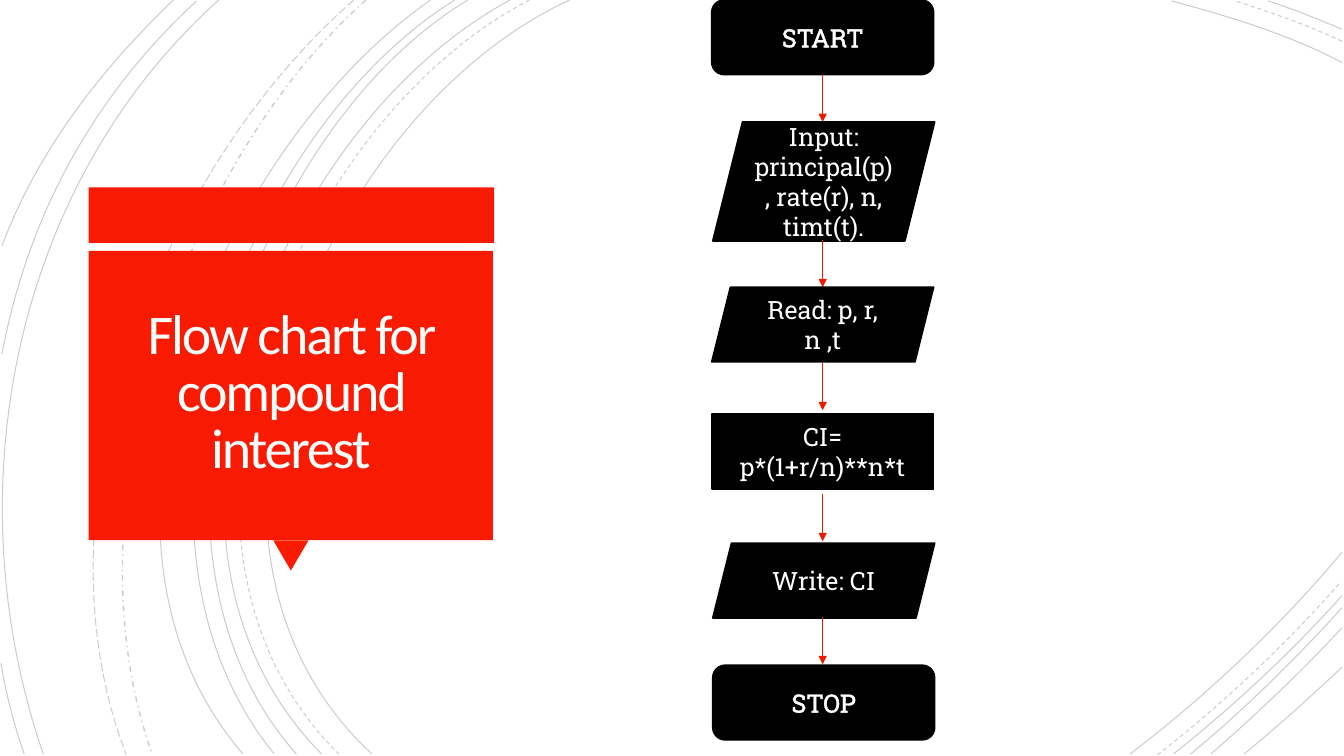
from dataclasses import dataclass
from typing import NamedTuple, Optional

from lxml import etree
from pptx import Presentation
from pptx import util as u
from pptx.dml.color import RGBColor
from pptx.enum import dml, shapes, text
from pptx.oxml import ns

PX = 9144
SHAPE = shapes.MSO_SHAPE
DASH = dml.MSO_LINE


@dataclass(frozen=True)
class Theme:
    accent: str = "F81B02"
    arrow: str = "ED1A02"
    ink: str = "000000"
    title_text: str = "FFFEFF"
    step_text: str = "FFFFFF"
    title_font: str = "Calibri"
    step_font: str = "Roboto Slab"
    title_size: int = 40
    step_size: int = 18
    hairline: float = 0.75
    border: float = 1.25
    arc_alpha: int = 20000


class Arc(NamedTuple):
    start: tuple[int, int]
    control_1: tuple[int, int]
    control_2: tuple[int, int]
    end: tuple[int, int]
    dash: dml.MSO_LINE = DASH.SOLID
    width: float = 0.75


class Panel(NamedTuple):
    preset: shapes.MSO_SHAPE
    left: int
    top: int
    width: int
    height: int
    rotation: int = 0


class Step(NamedTuple):
    label: str
    preset: shapes.MSO_SHAPE
    left: int
    top: int
    height: int = 74
    arrow_top: Optional[int] = None
    outlined: bool = False


THEME = Theme()
STEP_WIDTH = 220
ARROW_X = 816
ARROW_LENGTH = 47

ARCS = [
    Arc((565, 0), (315, 115), (143, 540), (369, 748)),
    Arc((1331, 62), (1278, 34), (1218, 16), (1162, 1)),
    Arc((1121, 748), (1197, 690), (1269, 622), (1331, 548)),
    Arc((525, 0), (285, 125), (123, 537), (336, 748), DASH.DASH),
    Arc((1331, 41), (1297, 25), (1260, 12), (1225, 1), DASH.DASH),
    Arc((1148, 749), (1213, 698), (1275, 640), (1330, 577), DASH.DASH),
    Arc((506, 0), (270, 127), (110, 537), (319, 748)),
    Arc((1331, 29), (1307, 19), (1283, 9), (1258, 1)),
    Arc((1164, 748), (1223, 701), (1280, 648), (1331, 591)),
    Arc((464, 0), (244, 133), (110, 541), (294, 748)),
    Arc((1181, 748), (1234, 704), (1284, 655), (1331, 603)),
    Arc((451, 0), (231, 138), (97, 533), (272, 748)),
    Arc((1201, 748), (1246, 709), (1290, 667), (1331, 623)),
    Arc((427, 0), (217, 147), (53, 529), (241, 748)),
    Arc((1234, 748), (1267, 721), (1299, 692), (1331, 662)),
    Arc((363, 0), (176, 166), (65, 509), (151, 748), DASH.DASH_DOT, 1),
    Arc((351, 0), (157, 169), (29, 499), (125, 748), DASH.LONG_DASH),
    Arc((217, 0), (11, 185), (-46, 490), (43, 748)),
    Arc((195, 1), (92, 96), (28, 214), (2, 351)),
    Arc((1, 658), (6, 689), (14, 719), (24, 748)),
    Arc((172, 0), (100, 69), (37, 150), (2, 244)),
]

PANELS = [
    Panel(SHAPE.RECTANGLE, 88, 186, 402, 55),
    Panel(SHAPE.ISOSCELES_TRIANGLE, 271, 536, 35, 30, 180),
    Panel(SHAPE.RECTANGLE, 88, 249, 401, 287),
]

STEPS = [
    Step("START", SHAPE.ROUNDED_RECTANGLE, 706, 0, arrow_top=74, outlined=True),
    Step("Input: principal(p), rate(r), n, timt(t).", SHAPE.PARALLELOGRAM,
         707, 121, 118, arrow_top=238),
    Step("Read: p, r, n ,t", SHAPE.PARALLELOGRAM, 706, 285, arrow_top=360),
    Step("CI= p*(1+r/n)**n*t", SHAPE.RECTANGLE, 706, 411, arrow_top=490),
    Step("Write: CI", SHAPE.PARALLELOGRAM, 707, 539, arrow_top=612),
    Step("STOP", SHAPE.ROUNDED_RECTANGLE, 707, 660, outlined=True),
]


def rgb(value: str) -> RGBColor:
    return RGBColor.from_string(value)


def draw_arc(slide, arc: Arc) -> None:
    builder = slide.shapes.build_freeform(*arc.start, scale=PX)
    builder.add_line_segments([arc.control_1, arc.control_2, arc.end], close=False)
    shape = builder.convert_to_shape()
    path = next(shape._element.iter(ns.qn("a:path")))
    curve = etree.SubElement(path, ns.qn("a:cubicBezTo"))
    for segment in path.findall(ns.qn("a:lnTo")):
        curve.append(segment[0])
        path.remove(segment)
    shape.fill.background()
    shape.shadow.inherit = False
    shape.line.color.rgb = rgb(THEME.ink)
    shape.line.width = u.Pt(arc.width)
    shape.line.dash_style = arc.dash
    color = next(shape.line._ln.iter(ns.qn("a:srgbClr")))
    etree.SubElement(color, ns.qn("a:alpha"), val=str(THEME.arc_alpha))


def draw_shape(slide, preset: shapes.MSO_SHAPE, box: tuple[int, int, int, int],
               fill: str, border: Optional[str] = None):
    shape = slide.shapes.add_shape(preset, *(value * PX for value in box))
    shape.shadow.inherit = False
    shape.fill.solid()
    shape.fill.fore_color.rgb = rgb(fill)
    if border:
        shape.line.color.rgb = rgb(border)
        shape.line.width = u.Pt(THEME.border)
    else:
        shape.line.fill.background()
    return shape


def write_text(shape, content: str, *, font: str, size: int, color: str,
               inset: Optional[int] = None, line_spacing: Optional[float] = None,
               tracking: Optional[int] = None, outlined: bool = False) -> None:
    frame = shape.text_frame
    frame.word_wrap = True
    frame.vertical_anchor = text.MSO_ANCHOR.MIDDLE
    if inset is not None:
        frame.margin_left = frame.margin_right = inset * PX
        frame.margin_top = frame.margin_bottom = inset * PX
    paragraph = frame.paragraphs[0]
    paragraph.alignment = text.PP_ALIGN.CENTER
    if line_spacing is not None:
        paragraph.line_spacing = line_spacing
    run = paragraph.add_run()
    run.text = content
    run.font.name = font
    run.font.size = u.Pt(size)
    run.font.color.rgb = rgb(color)
    properties = run.font._element
    if tracking is not None:
        properties.set("spc", str(tracking))
    if outlined:
        outline = etree.Element(ns.qn("a:ln"), w=str(u.Pt(THEME.hairline)))
        fill = etree.SubElement(outline, ns.qn("a:solidFill"))
        etree.SubElement(fill, ns.qn("a:srgbClr"), val=color)
        properties.insert(0, outline)


def draw_arrow(slide, top: int) -> None:
    connector = slide.shapes.add_connector(
        shapes.MSO_CONNECTOR.STRAIGHT, ARROW_X * PX, top * PX,
        ARROW_X * PX, (top + ARROW_LENGTH) * PX)
    connector.line.color.rgb = rgb(THEME.arrow)
    connector.line.width = u.Pt(THEME.hairline)
    etree.SubElement(connector.line._ln, ns.qn("a:tailEnd"), type="triangle")
    etree.SubElement(connector._element.spPr, ns.qn("a:effectLst"))


def draw_step(slide, step: Step) -> None:
    box = (step.left, step.top, STEP_WIDTH, step.height)
    shape = draw_shape(slide, step.preset, box, THEME.ink, THEME.ink)
    write_text(shape, step.label, font=THEME.step_font, size=THEME.step_size,
               color=THEME.step_text, outlined=step.outlined)
    if step.arrow_top is not None:
        draw_arrow(slide, step.arrow_top)


def main() -> None:
    presentation = Presentation()
    presentation.slide_width = 1333 * PX
    presentation.slide_height = 750 * PX
    slide = presentation.slides.add_slide(presentation.slide_layouts[6])
    for arc in ARCS:
        draw_arc(slide, arc)
    for panel in PANELS:
        box = (panel.left, panel.top, panel.width, panel.height)
        draw_shape(slide, panel.preset, box, THEME.accent).rotation = panel.rotation
    title = slide.shapes.add_textbox(97 * PX, 257 * PX, 383 * PX, 269 * PX)
    write_text(title, "Flow chart for compound interest", font=THEME.title_font,
               size=THEME.title_size, color=THEME.title_text, inset=25,
               line_spacing=0.85, tracking=-150)
    for step in STEPS:
        draw_step(slide, step)
    presentation.save("out.pptx")


if __name__ == "__main__":
    main()
